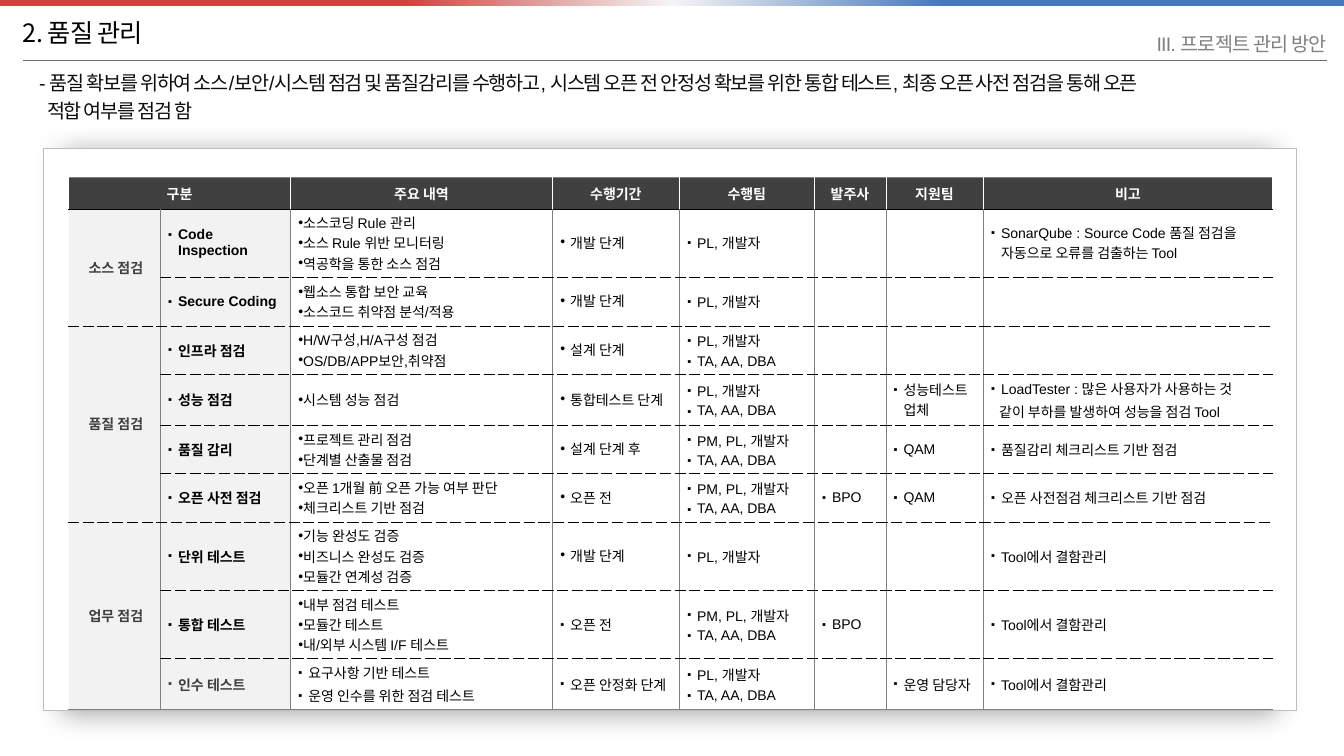
from dataclasses import dataclass

from lxml import etree
from pptx import Presentation
from pptx.dml.color import RGBColor
from pptx.enum.shapes import MSO_CONNECTOR, MSO_SHAPE
from pptx.enum.text import MSO_ANCHOR, PP_ALIGN
from pptx.oxml import parse_xml
from pptx.oxml.ns import qn
from pptx.util import Cm, Pt

LEFT, CENTER, RIGHT = PP_ALIGN.LEFT, PP_ALIGN.CENTER, PP_ALIGN.RIGHT
MIDDLE = MSO_ANCHOR.MIDDLE
RECTANGLE, ROUNDED = MSO_SHAPE.RECTANGLE, MSO_SHAPE.ROUNDED_RECTANGLE
STRAIGHT = MSO_CONNECTOR.STRAIGHT
DRAWING = "http://schemas.openxmlformats.org/drawingml/2006/main"
PLAIN_TABLE = "{2D5ABB26-0587-4C30-8999-92F81FD0307C}"
DOT, SQUARE = "•", "▪"


@dataclass(frozen=True)
class Theme:
    latin: str = "Arial"
    korean: str = "Noto Sans CJK KR"
    black: str = "000000"
    white: str = "FFFFFF"
    lead: str = "0D0D0D"
    dark: str = "404040"
    grey: str = "808080"
    rule: str = "6E6E6E"
    panel_line: str = "BFBFBF"
    pale: str = "F2F2F2"
    bar: tuple = ((30, "CB443D"), (50, "F5F5F5"), (70, "4879BE"))
    title_size: int = 18
    lead_size: int = 14
    table_size: int = 10


THEME = Theme()

COLUMNS = [2.31, 3.28, 6.6, 3.2, 3.4, 1.8, 2.46, 7.29]
ROWS = [0.79, 1.72, 1.23, 1.22, 1.28, 1.22, 1.22, 1.72, 1.72, 1.29]
HEADERS = ["구분", "", "주요 내역", "수행기간", "수행팀", "발주사", "지원팀", "비고"]
GROUPS = {1: ("소스 점검", 2), 3: ("품질 점검", 4), 7: ("업무 점검", 3)}  # first row: name, rows
DEVELOPERS = "PL, 개발자"
DEVELOPERS_AND_TA = DEVELOPERS + "\nTA, AA, DBA"
MANAGERS_AND_TA = "PM, " + DEVELOPERS_AND_TA
DEFECTS = "Tool에서 결함관리"
# A paragraph that starts with ">" continues the one above without a bullet
CHECKS = [
    ["Code Inspection", "소스코딩 Rule 관리\n소스 Rule 위반 모니터링\n역공학을 통한 소스 점검", "개발 단계",
     DEVELOPERS, "", "", "SonarQube : Source Code 품질 점검을 자동으로 오류를 검출하는 Tool"],
    ["Secure Coding", "웹소스 통합 보안 교육\n소스코드 취약점 분석/적용", "개발 단계", DEVELOPERS, "", "", ""],
    ["인프라 점검", "H/W구성,H/A구성 점검\nOS/DB/APP보안,취약점", "설계 단계", DEVELOPERS_AND_TA, "", "", ""],
    ["성능 점검", "시스템 성능 점검", "통합테스트 단계", DEVELOPERS_AND_TA, "", "성능테스트 업체",
     "LoadTester : 많은 사용자가 사용하는 것\n>같이 부하를 발생하여 성능을 점검 Tool"],
    ["품질 감리", "프로젝트 관리 점검\n단계별 산출물 점검", "설계 단계 후", MANAGERS_AND_TA, "", "QAM",
     "품질감리 체크리스트 기반 점검"],
    ["오픈 사전 점검", "오픈 1개월 前 오픈 가능 여부 판단\n체크리스트 기반 점검", "오픈 전", MANAGERS_AND_TA,
     "BPO", "QAM", "오픈 사전점검 체크리스트 기반 점검"],
    ["단위 테스트", "기능 완성도 검증\n비즈니스 완성도 검증\n모듈간 연계성 검증", "개발 단계", DEVELOPERS,
     "", "", DEFECTS],
    ["통합 테스트", "내부 점검 테스트\n모듈간 테스트\n내/외부 시스템 I/F 테스트", "오픈 전", MANAGERS_AND_TA,
     "BPO", "", DEFECTS],
    ["인수 테스트", "요구사항 기반 테스트\n운영 인수를 위한 점검 테스트", "오픈 안정화 단계", DEVELOPERS_AND_TA,
     "", "운영 담당자", DEFECTS],
]
LAST_ROW, LAST_COLUMN = len(CHECKS), len(COLUMNS) - 1
DETAIL, PERIOD = 2, 3
SQUARE_CELLS = {(LAST_ROW, DETAIL), (LAST_ROW - 1, PERIOD), (LAST_ROW, PERIOD)}


def color(value):
    return RGBColor.from_string(value)


def add_xml(parent, markup):
    tag, rest = markup.split(" ", 1)
    element = parse_xml(f'<a:{tag} xmlns:a="{DRAWING}" {rest}')
    parent.append(element)
    return element


def set_bullet(paragraph, bullet, hanging):
    properties = paragraph._p.get_or_add_pPr()
    properties.set("marL", str(Cm(0.25) if hanging else 0))
    properties.set("indent", str(-Cm(0.25)))
    if bullet == DOT:
        add_xml(properties, f'buClr ><a:srgbClr val="{THEME.black}"/></a:buClr>')
    else:
        add_xml(properties, 'buSzPct val="80000"/>')
    add_xml(properties, f'buFont typeface="{THEME.latin}"/>')
    add_xml(properties, f'buChar char="{bullet}"/>')


def write_text(frame, text, size=THEME.table_size, ink=THEME.black, bold=False, font=THEME.latin,
               align=LEFT, spacing=0, bullet=None, hanging=True, before=0, line=None):
    frame.word_wrap = True
    for index, content in enumerate(text.split("\n")):
        paragraph = frame.paragraphs[0] if index == 0 else frame.add_paragraph()
        if content.startswith(">"):
            content = content[1:]
            paragraph._p.get_or_add_pPr().set("marL", str(Cm(0.2)))
        elif bullet:
            set_bullet(paragraph, bullet, hanging)
        paragraph.alignment = align
        if index:
            paragraph.space_before = Pt(before)
        if line:
            paragraph.line_spacing = line
        run = paragraph.add_run()
        run.text = content
        run.font.size, run.font.bold, run.font.name = Pt(size), bold, font
        run.font.color.rgb = color(ink)
        properties = run._r.get_or_add_rPr()
        if spacing:
            properties.set("spc", str(round(spacing * 100)))
        add_xml(properties, f'ea typeface="{THEME.korean}"/>')


def add_label(slide, box, text, **style):
    frame = slide.shapes.add_textbox(*map(Cm, box)).text_frame
    frame.margin_left = frame.margin_right = frame.margin_top = frame.margin_bottom = 0
    frame.vertical_anchor = MIDDLE
    write_text(frame, text, **style)


def add_heading(slide, left, top, width):
    # Colour bar across the top edge
    bar = slide.shapes.add_shape(RECTANGLE, 0, 0, Cm(33.87), Cm(0.15))
    bar.shadow.inherit = False
    bar.line.fill.background()
    bar.fill.gradient()
    bar.fill.gradient_angle = 0
    stops = bar._element.spPr.find(qn("a:gradFill")).find(qn("a:gsLst"))
    for stop in list(stops):
        stops.remove(stop)
    for position, value in THEME.bar:
        add_xml(stops, f'gs pos="{position * 1000}"><a:srgbClr val="{value}"/></a:gs>')
    # Rule under the titles
    rule = slide.shapes.add_connector(STRAIGHT, Cm(left), Cm(top + 1.24), Cm(left + width), Cm(top + 1.24))
    rule.line.color.rgb, rule.line.width = color(THEME.rule), Pt(0.5)
    etree.SubElement(rule._element.spPr, qn("a:effectLst"))
    # Titles and lead
    add_label(slide, (left, top, 18.9, 1.07), "2. 품질 관리", size=THEME.title_size,
              font=THEME.korean, spacing=-0.6)
    add_label(slide, (left + width - 13.94, top + 0.56, 13.94, 0.51), "III. 프로젝트 관리 방안",
              size=THEME.lead_size, ink=THEME.grey, align=RIGHT, spacing=-0.6)
    add_label(slide, (left + 0.41, top + 1.4, 31.95, 1.52),
              "- 품질 확보를 위하여 소스/보안/시스템 점검 및 품질감리를 수행하고, 시스템 오픈 전 안정성 확보를 위한 "
              "통합 테스트, 최종 오픈 사전 점검을 통해 오픈\n>적합 여부를 점검 함",
              size=THEME.lead_size, ink=THEME.lead, spacing=-0.9, before=3)


def add_panel(slide, left, top, width, height):
    panel = slide.shapes.add_shape(ROUNDED, Cm(left), Cm(top), Cm(width), Cm(height))
    panel.adjustments[0] = 0
    panel.fill.solid()
    panel.fill.fore_color.rgb = color(THEME.white)
    panel.line.color.rgb, panel.line.width = color(THEME.panel_line), Pt(0.5)
    panel.shadow.inherit = False
    add_xml(panel._element.spPr.find(qn("a:effectLst")),
            f'outerShdw blurRad="{Pt(20)}" dist="{Pt(3)}" dir="5400000" sx="97000" algn="t" rotWithShape="0">'
            f'<a:srgbClr val="{THEME.black}"><a:alpha val="35000"/></a:srgbClr></a:outerShdw>')
    add_check_table(slide, left + 0.64, top + 0.74)


def style_cell(cell, row, column, last_row):
    header = row == 0
    side = (THEME.white if header else THEME.grey, 0.25, "solid")
    edge = (THEME.white, 1, "solid")
    dashed, solid = (THEME.black, 0.25, "dash"), (THEME.black, 0.25, "solid")
    outer = (THEME.grey, 1, "solid")
    borders = {
        "lnL": edge if column == 0 else side,
        "lnR": edge if column == LAST_COLUMN else side,
        "lnT": outer if header else solid if row == 1 else dashed,
        "lnB": solid if header else outer if last_row == LAST_ROW else dashed,
    }
    for tag, (value, width, dash) in borders.items():
        add_xml(cell._tc.get_or_add_tcPr(),
                f'{tag} w="{Pt(width)}"><a:solidFill><a:srgbClr val="{value}"/></a:solidFill>'
                f'<a:prstDash val="{dash}"/></a:{tag}>')
    cell.fill.solid()
    cell.fill.fore_color.rgb = color(THEME.dark if header else THEME.pale if column < 2 else THEME.white)
    cell.vertical_anchor = MIDDLE
    cell.margin_left = Cm(0.13 if header else 0.2)
    cell.margin_right = Cm(0.13 if header or column == 0 else 0 if column in (DETAIL, PERIOD) else 0.2)
    cell.margin_top = cell.margin_bottom = Cm(0 if header else 0.1)


def body_format(row, column):
    if column in (DETAIL, PERIOD) and (row, column) not in SQUARE_CELLS:
        return dict(bullet=DOT, hanging=column == PERIOD, line=0.9 if column == PERIOD else None)
    ink = THEME.dark if (row, column) == (LAST_ROW, 1) else THEME.black
    return dict(bullet=SQUARE, before=2, bold=column == 1, ink=ink)


def add_check_table(slide, left, top):
    frame = slide.shapes.add_table(len(ROWS), len(COLUMNS), Cm(left), Cm(top), Cm(sum(COLUMNS)), Cm(sum(ROWS)))
    table = frame.table
    table._tbl.tblPr.find(qn("a:tableStyleId")).text = PLAIN_TABLE
    table.first_row = table.horz_banding = False
    for column, width in zip(table.columns, COLUMNS):
        column.width = Cm(width)
    for row, height in zip(table.rows, ROWS):
        row.height = Cm(height)
    # Merged heading and group cells
    table.cell(0, 0).merge(table.cell(0, 1))
    for first, (_, count) in GROUPS.items():
        table.cell(first, 0).merge(table.cell(first + count - 1, 0))
    # Contents
    for row in range(len(ROWS)):
        for column in range(len(COLUMNS)):
            cell = table.cell(row, column)
            if cell.is_spanned:
                continue
            last_row = row + cell.span_height - 1 if cell.is_merge_origin else row
            style_cell(cell, row, column, last_row)
            if row == 0:
                write_text(cell.text_frame, HEADERS[column], ink=THEME.white, bold=True, align=CENTER)
            elif column == 0:
                write_text(cell.text_frame, GROUPS[row][0], ink=THEME.dark, bold=True, align=CENTER)
            elif CHECKS[row - 1][column - 1]:
                write_text(cell.text_frame, CHECKS[row - 1][column - 1], **body_format(row, column))


def main():
    presentation = Presentation()
    presentation.slide_width, presentation.slide_height = Cm(33.87), Cm(19.05)
    slide = presentation.slides.add_slide(presentation.slide_layouts[6])
    add_heading(slide, 0.58, 0.28, 32.85)
    add_panel(slide, 1.09, 3.73, 31.57, 14.17)
    presentation.save("out.pptx")


if __name__ == "__main__":
    main()
